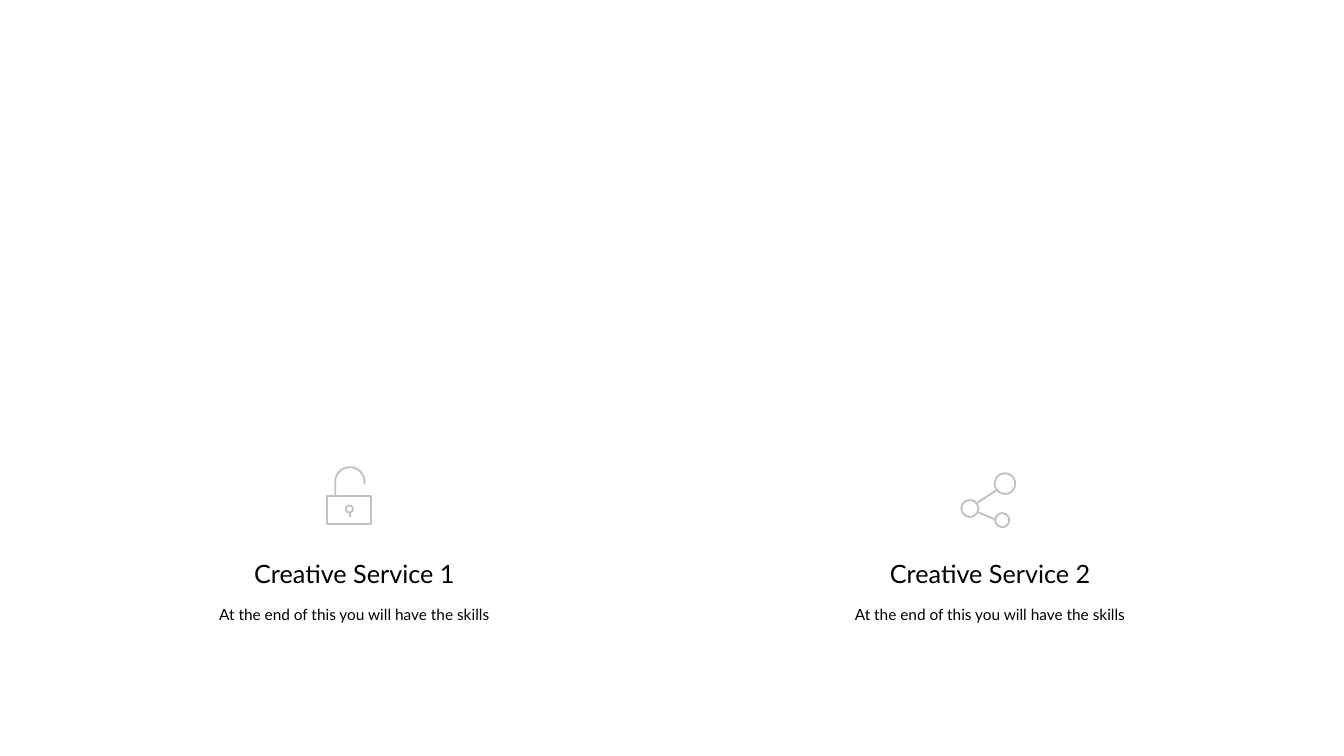
from dataclasses import dataclass
from math import cos, pi, sin

from lxml import etree
from pptx import Presentation
from pptx.dml.color import RGBColor
from pptx.enum.shapes import MSO_CONNECTOR, MSO_SHAPE
from pptx.enum.text import MSO_ANCHOR, MSO_AUTO_SIZE, PP_ALIGN
from pptx.oxml.ns import qn
from pptx.util import Inches, Pt


@dataclass(frozen=True)
class Theme:
    font: str = "Lato"
    text: RGBColor = RGBColor(0, 0, 0)
    icon: RGBColor = RGBColor(0xC2, 0xC2, 0xC2)
    icon_line: float = 2.69
    heading_size: int = 36
    body_size: int = 22


theme = Theme()


def add_text(page, text, left, top, width, height, size, wrap=True, spacing=1.0):
    box = page.shapes.add_textbox(*map(Inches, (left, top, width, height)))
    frame = box.text_frame
    frame.word_wrap = wrap
    frame.auto_size = MSO_AUTO_SIZE.SHAPE_TO_FIT_TEXT
    frame.vertical_anchor = MSO_ANCHOR.MIDDLE
    frame.margin_left = frame.margin_right = Inches(0.06)
    frame.margin_top = frame.margin_bottom = Inches(0.06)
    para = frame.paragraphs[0]
    para.alignment = PP_ALIGN.CENTER
    para.line_spacing = spacing
    span = para.add_run()
    span.text = text
    span.font.name = theme.font
    span.font.size = Pt(size)
    span.font.color.rgb = theme.text


def outline(shape):
    """Give an icon part the thin grey line, without fill or shadow."""
    shape.line.color.rgb = theme.icon
    shape.line.width = Pt(theme.icon_line)
    if hasattr(shape, "fill"):
        shape.fill.background()
        shape.shadow.inherit = False
    else:
        etree.SubElement(shape.element.spPr, qn("a:effectLst"))


deck = Presentation()
deck.slide_width = Inches(26.66)
deck.slide_height = Inches(15)
page = deck.slides.add_slide(deck.slide_layouts[6])

# Open padlock: body and shackle
outline(page.shapes.add_shape(
    MSO_SHAPE.RECTANGLE, Inches(6.49), Inches(9.85), Inches(0.87), Inches(0.54)))

center_x, center_y, radius, steps = 6.94, 9.56, 0.29, 32
arc = [(center_x - radius * cos(pi * step / steps),
        center_y - radius * sin(pi * step / steps)) for step in range(steps + 1)]
points = [(Inches(x), Inches(y)) for x, y in arc + [(center_x + radius, 9.61)]]
builder = page.shapes.build_freeform(Inches(center_x - radius), Inches(9.84))
builder.add_line_segments(points, close=False)
outline(builder.convert_to_shape())

# Keyhole, then the three share nodes: left, top, diameter
circles = [
    (6.86, 10.03, 0.14),
    (19.73, 9.39, 0.41),
    (19.07, 9.92, 0.34),
    (19.74, 10.18, 0.28),
]
for left, top, diameter in circles:
    outline(page.shapes.add_shape(
        MSO_SHAPE.OVAL, Inches(left), Inches(top), Inches(diameter), Inches(diameter)))

# Keyhole slot, then the two share links: start and end
strokes = [
    (6.94, 10.18, 6.94, 10.25),
    (19.75, 10.31, 19.39, 10.16),
    (19.38, 9.98, 19.76, 9.73),
]
for ends in strokes:
    outline(page.shapes.add_connector(MSO_CONNECTOR.STRAIGHT, *map(Inches, ends)))

# Service captions, one column each
column_left, column_step = 3.89, 12.61
for number in (1, 2):
    left = column_left + (number - 1) * column_step
    add_text(page, f"Creative Service {number}", left + 1.01, 11.03, 4.26, 0.71,
             size=theme.heading_size, wrap=False)
    add_text(page, "At the end of this you will have the skills", left, 11.76, 6.27, 0.66,
             size=theme.body_size, spacing=1.5)

deck.save("out.pptx")
